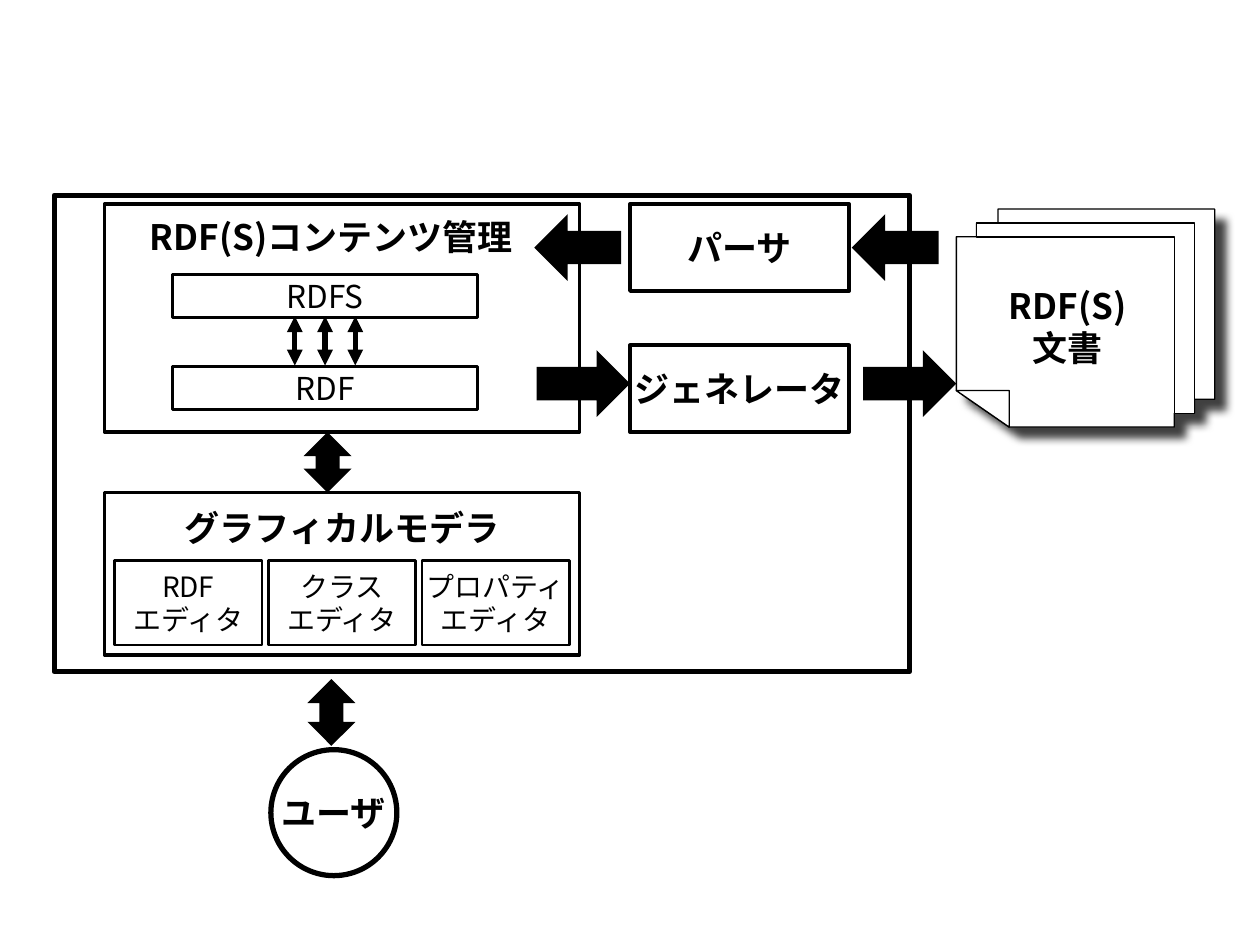
from lxml import etree
from pptx import Presentation
from pptx.dml.color import RGBColor
from pptx.enum.shapes import MSO_CONNECTOR, MSO_SHAPE
from pptx.enum.text import MSO_ANCHOR, PP_ALIGN
from pptx.oxml import parse_xml
from pptx.oxml.ns import nsdecls, qn
from pptx.util import Inches, Pt

RECT, OVAL = MSO_SHAPE.RECTANGLE, MSO_SHAPE.OVAL
LEFT, RIGHT = MSO_SHAPE.LEFT_ARROW, MSO_SHAPE.RIGHT_ARROW
UP_DOWN = MSO_SHAPE.UP_DOWN_ARROW
TOP, MIDDLE = MSO_ANCHOR.TOP, MSO_ANCHOR.MIDDLE
BLACK = RGBColor(0x00, 0x00, 0x00)
WHITE = RGBColor(0xFF, 0xFF, 0xFF)
FONT = "Noto Sans CJK JP"
BLANK_LAYOUT = 6
SHADOW = (
    f'<a:effectLst {nsdecls("a")}>'
    '<a:outerShdw blurRad="63500" dist="107950" dir="2700000" algn="tl" rotWithShape="0">'
    '<a:srgbClr val="000000"><a:alpha val="75000"/></a:srgbClr>'
    '</a:outerShdw></a:effectLst>'
)


class Diagram:
    def __init__(self, slide):
        self.s = slide

    def style(self, sp, fill, line):
        sp.shadow.inherit = False
        if fill is None:
            sp.fill.background()
        else:
            sp.fill.solid()
            sp.fill.fore_color.rgb = fill
        if line:
            sp.line.color.rgb = BLACK
            sp.line.width = Pt(line)
        else:
            sp.line.fill.background()

    def set_text(self, sp, lines, size=20, bold=True, wrap=False, anchor=MIDDLE):
        tf = sp.text_frame
        tf.word_wrap = wrap
        tf.vertical_anchor = anchor
        for i, text in enumerate(lines):
            p = tf.add_paragraph() if i else tf.paragraphs[0]
            p.alignment = PP_ALIGN.CENTER
            if len(lines) > 1:
                p.line_spacing = Pt(size * 1.2)
            r = p.add_run()
            r.text = text
            r.font.size = Pt(size)
            r.font.bold = bold
            r.font.color.rgb = BLACK
            r.font.name = FONT
            etree.SubElement(r.font._element, qn("a:ea")).set("typeface", FONT)

    def shape(self, kind, x, y, w, h, lines=(), fill=None, line=2, **text):
        sp = self.s.shapes.add_shape(kind, Inches(x), Inches(y), Inches(w), Inches(h))
        self.style(sp, fill, line)
        self.set_text(sp, lines, **text)
        return sp

    def arrow(self, kind, x, y, w, h):
        self.shape(kind, x, y, w, h, fill=BLACK, line=None)

    def label(self, x, y, w, h, lines, **text):
        sp = self.s.shapes.add_textbox(Inches(x), Inches(y), Inches(w), Inches(h))
        self.set_text(sp, lines, **text)

    def outline(self, points, shadow=False):
        pts = [(Inches(x), Inches(y)) for x, y in points]
        builder = self.s.shapes.build_freeform(*pts[0], scale=1.0)
        builder.add_line_segments(pts[1:], close=True)
        sp = builder.convert_to_shape()
        self.style(sp, WHITE, 0.75)
        if shadow:
            spPr = sp._element.spPr
            spPr.replace(spPr.find(qn("a:effectLst")), parse_xml(SHADOW))

    def double_arrow(self, x, y1, y2):
        c = self.s.shapes.add_connector(
            MSO_CONNECTOR.STRAIGHT, Inches(x), Inches(y1), Inches(x), Inches(y2))
        c.line.color.rgb = BLACK
        c.line.width = Pt(3)
        ln = c._element.spPr.find(qn("a:ln"))
        for end in ("a:headEnd", "a:tailEnd"):
            etree.SubElement(ln, qn(end)).set("type", "triangle")
        etree.SubElement(c._element.spPr, qn("a:effectLst"))


def main():
    prs = Presentation()
    prs.slide_width, prs.slide_height = Inches(10), Inches(7.5)
    d = Diagram(prs.slides.add_slide(prs.slide_layouts[BLANK_LAYOUT]))

    # System frame
    d.shape(RECT, 0.43, 1.55, 6.79, 3.78, fill=WHITE, line=3)

    # Stack of documents: silhouette, middle sheet, folded corner
    d.outline([(7.59, 3.1), (7.59, 1.88), (7.75, 1.88), (7.75, 1.77), (7.92, 1.77),
               (7.92, 1.66), (9.64, 1.66), (9.64, 3.17), (9.48, 3.17), (9.48, 3.28),
               (9.32, 3.28), (9.32, 3.39), (8.01, 3.39)], shadow=True)
    d.outline([(7.92, 1.77), (9.48, 1.77), (9.48, 3.28), (9.32, 3.28),
               (9.32, 1.88), (7.75, 1.88), (7.75, 1.77)])
    d.outline([(7.59, 3.1), (8.01, 3.1), (8.01, 3.39)])
    d.label(7.84, 2.21, 1.27, 0.77, ["RDF(S)", "文書"])

    # Parser and generator
    for y, name in ((1.62, "パーサ"), (2.74, "ジェネレータ")):
        d.shape(RECT, 5, y, 1.74, 0.69, [name])

    # Content management
    d.shape(RECT, 0.83, 1.62, 3.77, 1.81)
    d.label(0.83, 1.66, 3.6, 0.44, ["RDF(S)コンテンツ管理"], wrap=True)
    for y, name in ((2.18, "RDFS"), (2.91, "RDF")):
        d.shape(RECT, 1.37, y, 2.42, 0.34, [name], WHITE, 1.5, size=18, bold=False)
    for i in range(3):
        d.double_arrow(2.34 + 0.24 * i, 2.51, 2.9)

    # Graphical modeller and its editors
    modeller = d.shape(RECT, 0.83, 3.91, 3.77, 1.29, ["グラフィカルモデラ"], WHITE, anchor=TOP)
    modeller.text_frame.margin_top = Inches(0.11)
    for i, name in enumerate(("RDF", "クラス", "プロパティ")):
        d.shape(RECT, 0.91 + 1.22 * i, 4.45, 1.17, 0.67, [name, "エディタ"],
                WHITE, 1.5, size=16, bold=False)

    # User
    d.shape(OVAL, 2.15, 5.95, 1, 1, ["ユーザ"], line=3)

    # Block arrows
    d.arrow(UP_DOWN, 2.44, 5.39, 0.38, 0.53)
    d.arrow(UP_DOWN, 2.41, 3.43, 0.38, 0.48)
    for x in (4.24, 6.76):
        d.arrow(LEFT, x, 1.7, 0.69, 0.53)
    for x in (4.26, 6.85):
        d.arrow(RIGHT, x, 2.78, 0.74, 0.53)

    prs.save("out.pptx")


if __name__ == "__main__":
    main()
